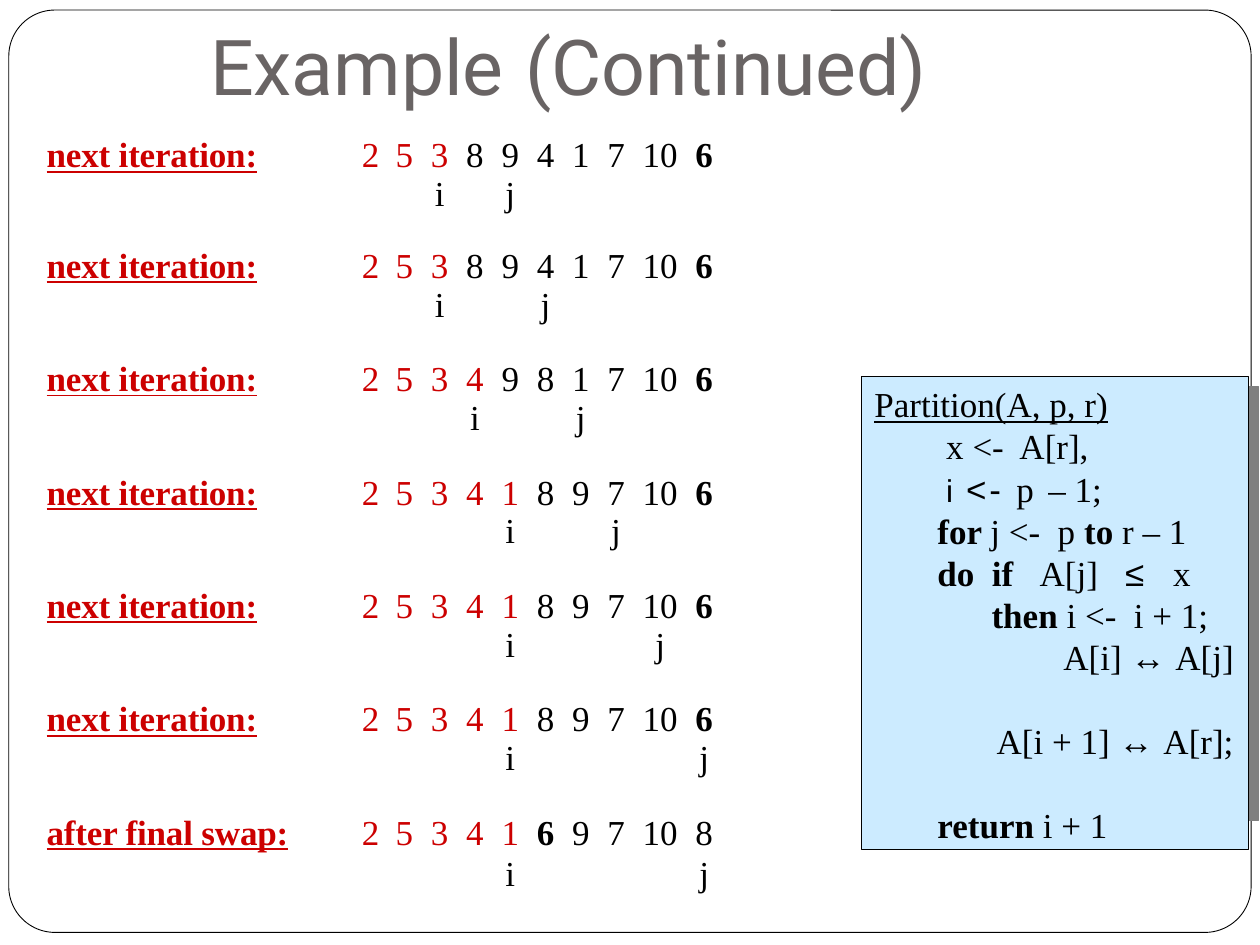
from pptx import Presentation
from pptx.dml.color import RGBColor
from pptx.enum.shapes import MSO_SHAPE
from pptx.enum.text import MSO_ANCHOR, PP_ALIGN
from pptx.oxml.ns import qn
from pptx.util import Inches, Pt
from lxml import etree

RECT, ROUNDED = MSO_SHAPE.RECTANGLE, MSO_SHAPE.ROUNDED_RECTANGLE
TOP, BOTTOM = MSO_ANCHOR.TOP, MSO_ANCHOR.BOTTOM
LEFT, CENTER, RIGHT = PP_ALIGN.LEFT, PP_ALIGN.CENTER, PP_ALIGN.RIGHT
BLACK = RGBColor(0x00, 0x00, 0x00)
WHITE = RGBColor(0xFF, 0xFF, 0xFF)
RED = RGBColor(0xCC, 0x00, 0x00)
GRAY = RGBColor(0x7F, 0x7F, 0x7F)
TITLE_GRAY = RGBColor(0x69, 0x64, 0x64)
PALE_BLUE = RGBColor(0xCC, 0xEB, 0xFF)
SERIF, SANS, TITLE_FONT = "Times New Roman", "Arial", "Roboto"

NEXT = "next iteration:"
PIVOT = 6
# label, array, count of small values, column of i, column of j
STEPS = [
    (NEXT, [2, 5, 3, 8, 9, 4, 1, 7, 10, 6], 3, 3, 5),
    (NEXT, [2, 5, 3, 8, 9, 4, 1, 7, 10, 6], 3, 3, 6),
    (NEXT, [2, 5, 3, 4, 9, 8, 1, 7, 10, 6], 4, 4, 7),
    (NEXT, [2, 5, 3, 4, 1, 8, 9, 7, 10, 6], 5, 5, 8),
    (NEXT, [2, 5, 3, 4, 1, 8, 9, 7, 10, 6], 5, 5, 9),
    (NEXT, [2, 5, 3, 4, 1, 8, 9, 7, 10, 6], 5, 5, 10),
    ("after final swap:", [2, 5, 3, 4, 1, 6, 9, 7, 10, 8], 5, 5, 10),
]
COL_WIDTHS = [2.25, 0.48] + [0.28] * 7 + [0.42, 0.25]
ROW_HEIGHTS = [0.77] + [0.9] * 5 + [0.77]

BOLD = {"bold": True}
SYMBOL = {"font": SANS}
# left indent, first line indent, tab stops, space before, runs
CODE = [
    (0.1, 0, [], 0, [("Partition(A, p, r)", {"underline": True})]),
    (0.67, 0, [], 0, [("x <-  A[r],", {})]),
    (0.67, 0, [], 0, [("i ", {"font": SANS, "size": 18, "spacing": 1.2}),
                      ("<- ", {"font": SANS, "spacing": 1.6}),
                      ("p ", {"spacing": 1.6}), ("– 1;", {})]),
    (0.6, 0, [], 0, [("for ", BOLD), ("j <-  p ", {}), ("to ", BOLD), ("r – 1", {})]),
    (1.09, -0.49, [1.94, 2.23], 0, [("do  if   ", BOLD), ("A[j]\t", {}),
                                    ("≤", SYMBOL), ("\tx", {})]),
    (1.03, 0, [], 0, [("then ", BOLD), ("i <-  i + 1;", {})]),
    (1.6, 0, [], 0, [("A[i] ", {}), ("↔ ", SYMBOL), ("A[j]", {})]),
    (1.07, 0, [], 24, [("A[i + 1] ", {}), ("↔ ", SYMBOL), ("A[r];", {})]),
    (0.6, 0, [], 24, [("return ", BOLD), ("i + 1", {})]),
]


def add_run(p, text, size=20, font=SERIF, color=BLACK, bold=False,
            underline=False, spacing=0):
    r = p.add_run()
    r.text = text
    r.font.size = Pt(size)
    r.font.name = font
    r.font.color.rgb = color
    r.font.bold = bold
    r.font.underline = underline
    if spacing:
        r.font._element.set("spc", str(round(spacing * 100)))


def set_indent(p, left, first=0, tabs=()):
    pPr = p._p.get_or_add_pPr()
    pPr.set("marL", str(Inches(left)))
    pPr.set("indent", str(Inches(first)))
    if tabs:
        tab_list = etree.SubElement(pPr, qn("a:tabLst"))
        for pos in tabs:
            etree.SubElement(tab_list, qn("a:tab"), pos=str(Inches(pos)), algn="l")


def set_frame(tf, top, anchor):
    tf.word_wrap = True
    tf.margin_left = tf.margin_right = tf.margin_bottom = 0
    tf.margin_top = Inches(top)
    tf.vertical_anchor = anchor


def add_box(s, kind, box, fill, line, width):
    sp = s.shapes.add_shape(kind, *map(Inches, box))
    sp.shadow.inherit = False
    sp.fill.solid()
    sp.fill.fore_color.rgb = fill
    sp.line.color.rgb = line
    sp.line.width = Pt(width)
    return sp


def add_title(s):
    tf = s.shapes.add_textbox(*map(Inches, (1.66, 0.12, 5.76, 0.76))).text_frame
    set_frame(tf, 0.01, BOTTOM)
    p = tf.paragraphs[0]
    set_indent(p, 0.01, 0, [2.56])
    add_run(p, "Example\t(Continued)", size=44, font=TITLE_FONT,
            color=TITLE_GRAY, spacing=-0.1)


def add_steps(s):
    last = len(COL_WIDTHS) - 1
    table = s.shapes.add_table(
        len(STEPS), len(COL_WIDTHS), Inches(0.34), Inches(1.09),
        Inches(sum(COL_WIDTHS)), Inches(sum(ROW_HEIGHTS))).table
    table.first_row = table.horz_banding = False
    for col, width in zip(table.columns, COL_WIDTHS):
        col.width = Inches(width)
    for n, (row, height) in enumerate(zip(table.rows, ROW_HEIGHTS)):
        row.height = Inches(height)
        label, values, small, i, j = STEPS[n]
        for c, cell in enumerate(row.cells):
            cell.fill.background()
            cell.margin_top = Inches(0.1 if n else 0)
            cell.margin_bottom = 0
            cell.margin_left = Inches(0.03 if c in (0, last) else 0)
            cell.margin_right = Inches(0.06 if c == 1 else 0)
            tf = cell.text_frame
            p = tf.paragraphs[0]
            p.alignment = {0: LEFT, 1: RIGHT}.get(c, CENTER)
            if n == 0:
                p.line_spacing = Pt(21.8)
            if c == 0:
                add_run(p, label, color=RED, bold=True, underline=True, spacing=-0.1)
                continue
            value = values[c - 1]
            add_run(p, str(value), color=RED if c <= small else BLACK,
                    bold=value == PIVOT)
            if c in (i, j):
                p = tf.add_paragraph()
                p.alignment = CENTER
                if n == len(STEPS) - 1:
                    p.line_spacing = Pt(23.4)
                add_run(p, "i" if c == i else "j")


def add_code(s):
    add_box(s, RECT, (6.92, 3.07, 3.07, 3.44), GRAY, GRAY, 0.75)
    sp = add_box(s, RECT, (6.84, 2.99, 3.07, 3.75), PALE_BLUE, BLACK, 0.75)
    tf = sp.text_frame
    set_frame(tf, 0.05, TOP)
    for n, (left, first, tabs, before, runs) in enumerate(CODE):
        p = tf.add_paragraph() if n else tf.paragraphs[0]
        p.alignment = LEFT
        p.line_spacing = Pt(24)
        p.space_before = Pt(before)
        set_indent(p, left, first, tabs)
        for text, fmt in runs:
            add_run(p, text, **fmt)


def main():
    prs = Presentation()
    prs.slide_width, prs.slide_height = Inches(10), Inches(7.5)
    s = prs.slides.add_slide(prs.slide_layouts[6])
    frame = add_box(s, ROUNDED, (0.07, 0.08, 9.86, 7.32), WHITE, BLACK, 0.5)
    frame.adjustments[0] = 0.05
    add_title(s)
    add_steps(s)
    add_code(s)
    prs.save("out.pptx")


if __name__ == "__main__":
    main()
